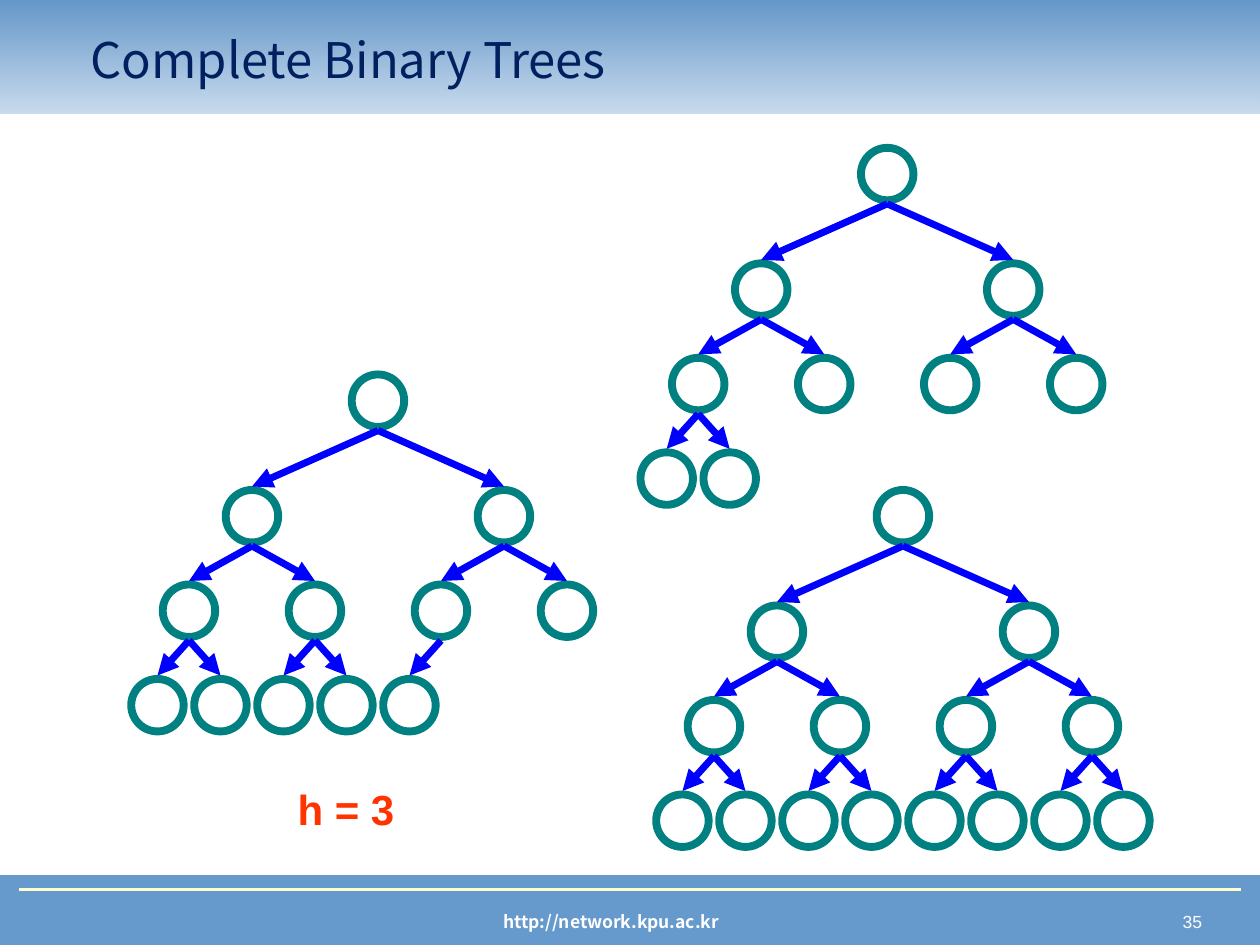
from lxml import etree
from pptx import Presentation
from pptx import util as u
from pptx.dml.color import RGBColor
from pptx.enum import shapes, text
from pptx.oxml.ns import qn

COLORS = dict(band="6699CC", band_top="6497C9", rule="FFFFCC", title="002060",
              node="008080", edge="0000FF", label="FF3300", white="FFFFFF")
TREES = [
    dict(root=(216, 229), nodes=12),
    dict(root=(507, 99.5), nodes=9),
    dict(root=(516, 295), nodes=15),
]
LEVEL_DROPS = [0, 66, 120, 174]
ROOT_SPREAD = 144
NODE_SIZE = 30
EDGE_GAP = 17
TITLE = dict(words="Complete Binary Trees", box=(44.6, 11.5, 607.7, 44.6),
             align="LEFT", anchor="MIDDLE", color="title",
             font=dict(name="Noto Sans CJK KR", size=u.Pt(28), bold=False))
LABELS = [
    dict(words="35", box=(534, 517, 160, 19.4), align="RIGHT", anchor="TOP",
         color="white", font=dict(name="Arial", size=u.Pt(10), bold=False)),
    dict(words="http://network.kpu.ac.kr", box=(163.4, 517, 371.5, 19.4),
         align="CENTER", anchor="TOP", color="white",
         font=dict(name="Noto Sans CJK KR", size=u.Pt(10), bold=True)),
    dict(words="h = 3", box=(113.8, 444.2, 167.8, 36), align="CENTER",
         anchor="TOP", color="label",
         font=dict(name="Arial", size=u.Pt(24), bold=True)),
]


def rgb(name):
    return RGBColor.from_string(COLORS[name])


def points(values):
    return [u.Pt(v) for v in values]


def write(sp, spec_text):
    tf = sp.text_frame
    frame = dict(word_wrap=True, auto_size=text.MSO_AUTO_SIZE.NONE,
                 vertical_anchor=text.MSO_ANCHOR[spec_text["anchor"]])
    for key, value in frame.items():
        setattr(tf, key, value)
    p = tf.paragraphs[0]
    p.alignment = text.PP_ALIGN[spec_text["align"]]
    r = p.add_run()
    r.text = spec_text["words"]
    for key, value in spec_text["font"].items():
        setattr(r.font, key, value)
    r.font.color.rgb = rgb(spec_text["color"])


def add_shape(s, kind, box):
    sp = s.shapes.add_shape(shapes.MSO_SHAPE[kind], *points(box))
    sp.shadow.inherit = False
    return sp


def add_line(s, start, end, color, width, arrow=False):
    line = s.shapes.add_connector(shapes.MSO_CONNECTOR.STRAIGHT,
                                  *points(start + end))
    line.line.color.rgb = rgb(color)
    line.line.width = u.Pt(width)
    if arrow:
        etree.SubElement(line.line._get_or_add_ln(), qn("a:tailEnd"), type="triangle")
    etree.SubElement(line._element.spPr, qn("a:effectLst"))


def add_bands(s):
    footer = add_shape(s, "RECTANGLE", (0, 500.4, 720, 39.6))
    footer.fill.solid()
    footer.fill.fore_color.rgb = rgb("band")
    footer.line.color.rgb = rgb("band")
    footer.line.width = u.Pt(0.75)
    add_line(s, (10.8, 508.3), (709.2, 508.3), "rule", 1.5)

    header = add_shape(s, "RECTANGLE", (-0.5, 0, 720.5, 64.8))
    header.line.fill.background()
    header.fill.gradient()
    header.fill.gradient_angle = 90
    stops = header.fill.gradient_stops
    for stop, color in zip(stops, ("band", "band_top")):
        stop.color.rgb = rgb(color)
    light = header._element.spPr.find(".//" + qn("a:srgbClr"))
    etree.SubElement(light, qn("a:alpha"), val="35000")


def node_center(root, index):
    level = index.bit_length() - 1
    count = 2 ** level
    step = 2 * ROOT_SPREAD / count
    x = root[0] + (index - count - (count - 1) / 2) * step
    return x, root[1] + LEVEL_DROPS[level]


def add_tree(s, root, nodes):
    for index in range(1, nodes + 1):
        x, y = node_center(root, index)
        half = NODE_SIZE / 2
        node = add_shape(s, "OVAL", (x - half, y - half, NODE_SIZE, NODE_SIZE))
        node.fill.background()
        node.line.color.rgb = rgb("node")
        node.line.width = u.Pt(4.5)
        if index > 1:
            px, py = node_center(root, index // 2)
            add_line(s, (px, py + EDGE_GAP), (x, y - EDGE_GAP), "edge", 4, True)


def main():
    prs = Presentation()
    prs.slide_width, prs.slide_height = points((720, 540))
    s = prs.slides.add_slide(prs.slide_layouts[5])
    add_bands(s)
    title = s.shapes.title
    for key, value in zip(("left", "top", "width", "height"), points(TITLE["box"])):
        setattr(title, key, value)
    write(title, TITLE)
    s.shapes._spTree.append(title._element)
    for tree in TREES:
        add_tree(s, **tree)
    for label in LABELS:
        write(s.shapes.add_textbox(*points(label["box"])), label)
    prs.save("out.pptx")


if __name__ == "__main__":
    main()
